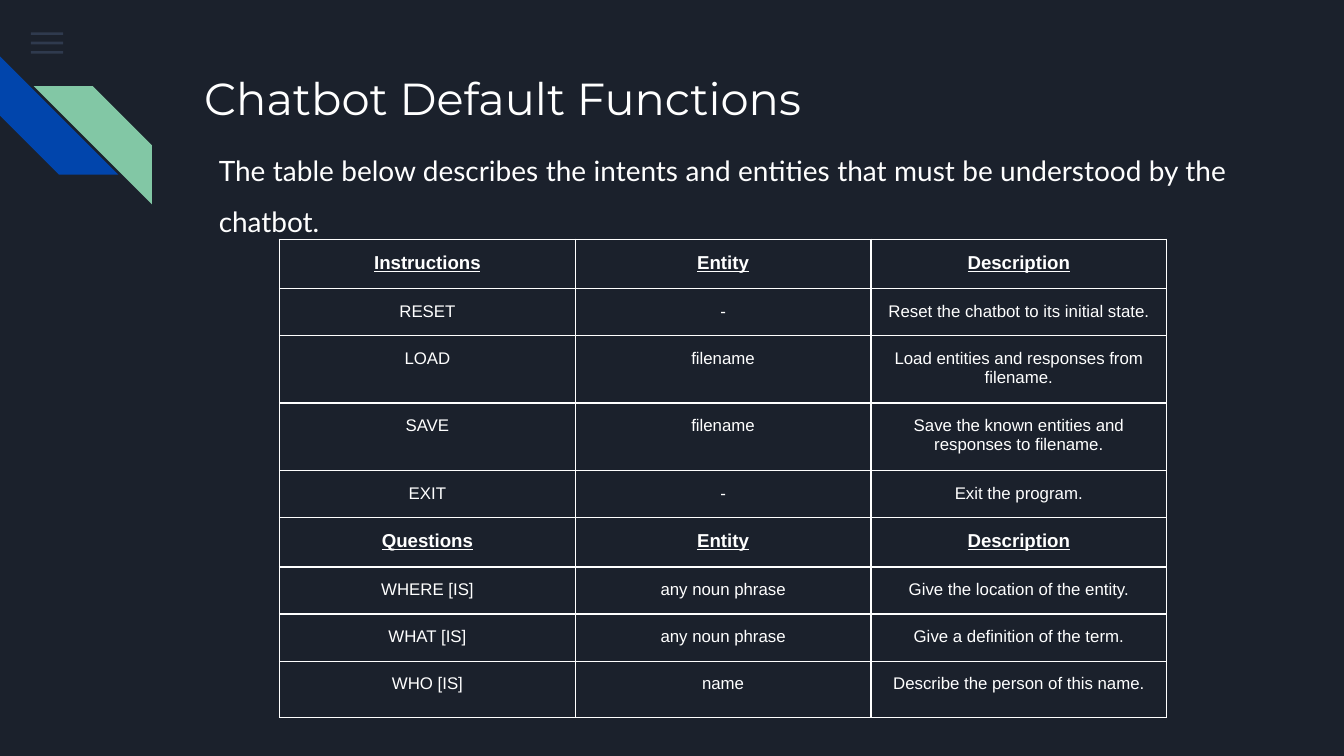
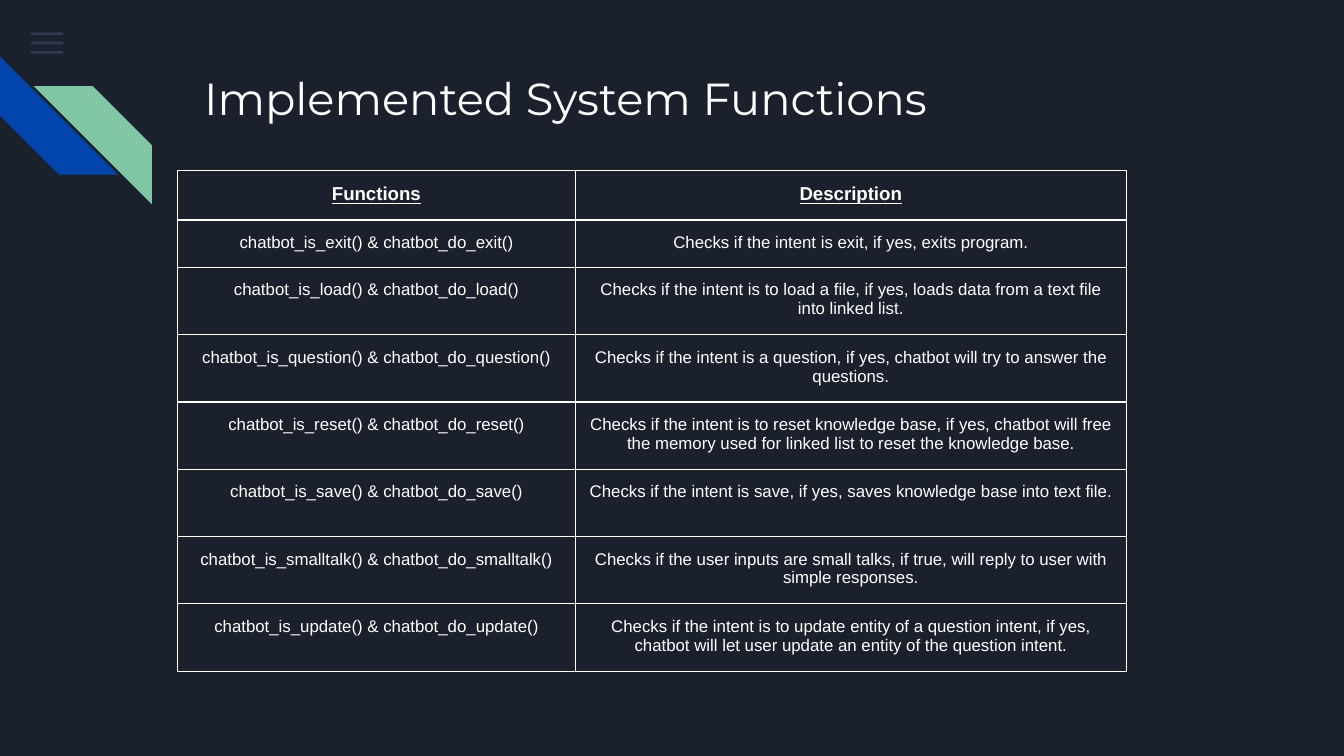
"""Build two dark slides tabulating chatbot functions."""
from lxml import etree
from pptx import Presentation, util as u
from pptx.dml.color import RGBColor
from pptx.enum import shapes, text
from pptx.oxml.ns import qn

NAVY = RGBColor(0x1B, 0x21, 0x2C)
SLATE = RGBColor(0x55, 0x68, 0x8B)
BLUE = RGBColor(0x01, 0x45, 0xAC)
GREEN = RGBColor(0x82, 0xC7, 0xA5)
WHITE = RGBColor(0xFF, 0xFF, 0xFF)

WIDTH = 10
HEIGHT = WIDTH * 9 / 16
INSET = 0.1
ONE_LINE, TWO_LINES = 0.35, 0.5
BORDERS = ("a:lnL", "a:lnR", "a:lnT", "a:lnB")
STRIPES = [(0, 0.42, 270, BLUE), (0.25, 0.64, 90, GREEN)]

SLIDES = [
    {
        "title": "Chatbot Default Functions",
        "intro": "The table below describes the intents and entities "
                 "that must be understood by the chatbot.",
        "at": (2.08, 1.78),
        "cols": [2.2] * 3,
        "heads": {0, 5},
        "rows": [
            (0.36, "Instructions", "Entity", "Description"),
            (ONE_LINE, "RESET", "-", "Reset the chatbot to its initial state."),
            (TWO_LINES, "LOAD", "filename", "Load entities and responses from filename."),
            (TWO_LINES, "SAVE", "filename",
             "Save the known entities and responses to filename."),
            (ONE_LINE, "EXIT", "-", "Exit the program."),
            (0.36, "Questions", "Entity", "Description"),
            (ONE_LINE, "WHERE [IS]", "any noun phrase", "Give the location of the entity."),
            (ONE_LINE, "WHAT [IS]", "any noun phrase", "Give a definition of the term."),
            (0.42, "WHO [IS]", "name", "Describe the person of this name."),
        ],
    },
    {
        "title": "Implemented System Functions",
        "at": (1.32, 1.27),
        "cols": [2.96, 1.78, 2.32],
        "heads": {0},
        "rows": [
            (0.32, "Functions", "Description"),
            (ONE_LINE, "chatbot_is_exit() & chatbot_do_exit()",
             "Checks if the intent is exit, if yes, exits program."),
            (TWO_LINES, "chatbot_is_load() & chatbot_do_load()",
             "Checks if the intent is to load a file, if yes, loads data "
             "from a text file into linked list."),
            (TWO_LINES, "chatbot_is_question() & chatbot_do_question()",
             "Checks if the intent is a question, if yes, chatbot will try "
             "to answer the questions."),
            (TWO_LINES, "chatbot_is_reset() & chatbot_do_reset()",
             "Checks if the intent is to reset knowledge base, if yes, chatbot will "
             "free the memory used for linked list to reset the knowledge base."),
            (TWO_LINES, "chatbot_is_save() & chatbot_do_save()",
             "Checks if the intent is save, if yes, saves knowledge base into text file."),
            (TWO_LINES, "chatbot_is_smalltalk() & chatbot_do_smalltalk()",
             "Checks if the user inputs are small talks, if true, will reply "
             "to user with simple responses."),
            (TWO_LINES, "chatbot_is_update() & chatbot_do_update()",
             "Checks if the intent is to update entity of a question intent, if yes, "
             "chatbot will let user update an entity of the question intent."),
        ],
    },
]


def inches(*values):
    return [u.Inches(v) for v in values]


def write(tf, content, size, font, align, bold=False, underline=False):
    tf.word_wrap = True
    p = tf.paragraphs[0]
    p.text = content
    p.alignment = align
    f = p.runs[0].font
    f.size, f.name, f.bold, f.underline = u.Pt(size), font, bold, underline
    f.color.rgb = WHITE
    return p


def set_insets(box):
    box.margin_left = box.margin_right = u.Inches(INSET)
    box.margin_top = box.margin_bottom = u.Inches(INSET)


def add_text(s, at, content, size, font, align):
    tf = s.shapes.add_textbox(*inches(*at)).text_frame
    set_insets(tf)
    return write(tf, content, size, font, align)


def add_block(s, kind, at, color, rotation=0):
    sp = s.shapes.add_shape(kind, *inches(*at))
    sp.shadow.inherit = False
    sp.fill.solid()
    sp.fill.fore_color.rgb = color
    sp.line.fill.background()
    sp.rotation = rotation
    return sp


def add_base(prs, title):
    s = prs.slides.add_slide(prs.slide_layouts[6])
    s.background.fill.solid()
    s.background.fill.fore_color.rgb = NAVY
    for i in range(3):
        sp = add_block(s, shapes.MSO_SHAPE.RECTANGLE,
                       (0.23, 0.24 + 0.07 * i, 0.24, 0.02), SLATE)
        color = sp.element.spPr.find(".//" + qn("a:srgbClr"))
        etree.SubElement(color, qn("a:alpha"), val="36000")
    for left, top, rotation, color in STRIPES:
        sp = add_block(s, shapes.MSO_SHAPE.DIAGONAL_STRIPE,
                       (left, top, 0.88, 0.88), color, rotation)
        sp.adjustments[0] = 0.5
    add_text(s, (1.42, 0.43, 7.7, 1), title, 24, "Montserrat", text.PP_ALIGN.LEFT)
    return s


def add_borders(cell):
    tc_pr = cell._tc.get_or_add_tcPr()
    for i, tag in enumerate(BORDERS):
        ln = etree.Element(qn(tag), w=str(u.Pt(0.75)))
        fill = etree.SubElement(ln, qn("a:solidFill"))
        etree.SubElement(fill, qn("a:srgbClr"), val=str(WHITE))
        tc_pr.insert(i, ln)


def add_grid(s, at, cols, rows, heads):
    size = (sum(cols), sum(row[0] for row in rows))
    table = s.shapes.add_table(len(rows), len(cols), *inches(*at, *size)).table
    table.first_row = table.horz_banding = False
    for col, width in zip(table.columns, cols):
        col.width = u.Inches(width)
    for i, (height, *labels) in enumerate(rows):
        table.rows[i].height = u.Inches(height)
        last = len(labels) - 1
        if len(labels) < len(cols):
            table.cell(i, last).merge(table.cell(i, len(cols) - 1))
        for j in range(len(cols)):
            cell = table.cell(i, j)
            cell.fill.background()
            set_insets(cell)
            add_borders(cell)
        head = i in heads
        for j, label in enumerate(labels):
            write(table.cell(i, j).text_frame, label, 10 if head else 9, "Arial",
                  text.PP_ALIGN.CENTER, head, head)


def main():
    prs = Presentation()
    prs.slide_width, prs.slide_height = inches(WIDTH, HEIGHT)
    for page in SLIDES:
        s = add_base(prs, page["title"])
        if "intro" in page:
            p = add_text(s, (1.53, 0.92, 7.7, 0.93), page["intro"], 15, "Lato",
                         text.PP_ALIGN.JUSTIFY)
            p.line_spacing = 1.5
        add_grid(s, page["at"], page["cols"], page["rows"], page["heads"])
    prs.save("out.pptx")


if __name__ == "__main__":
    main()
